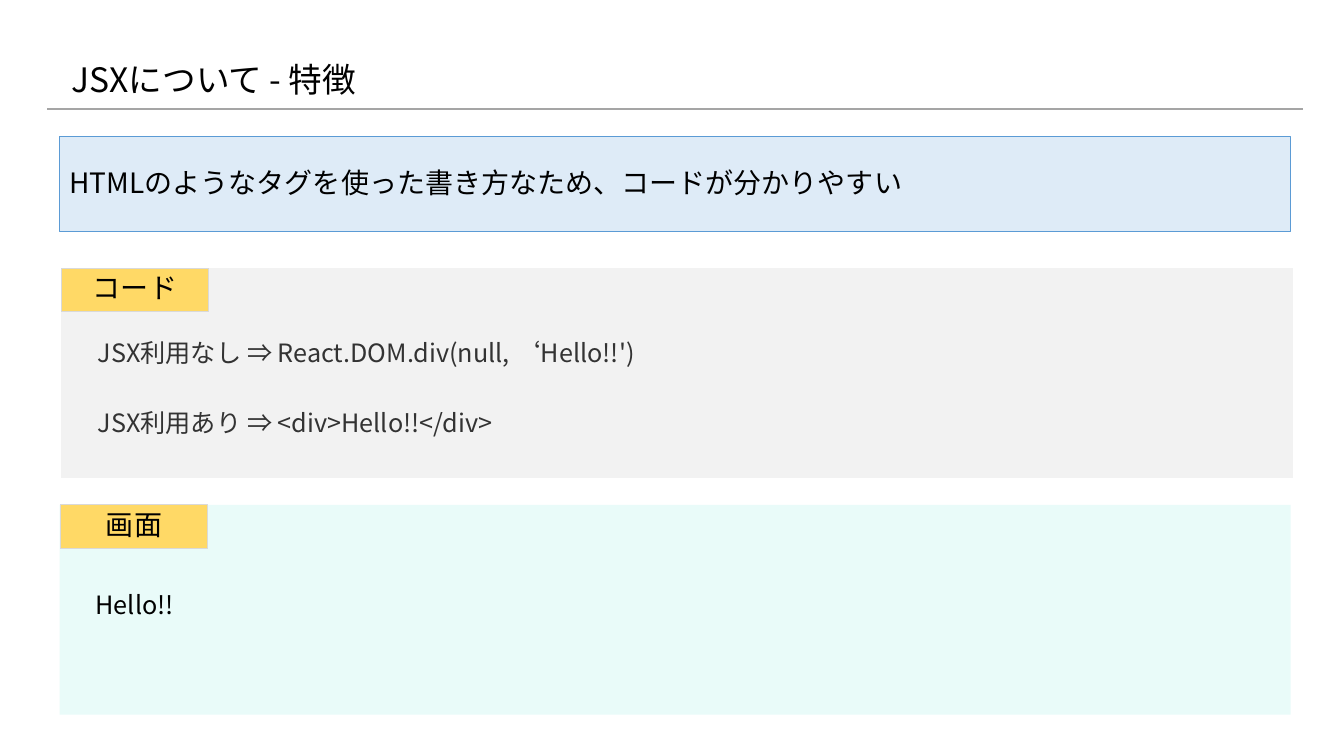
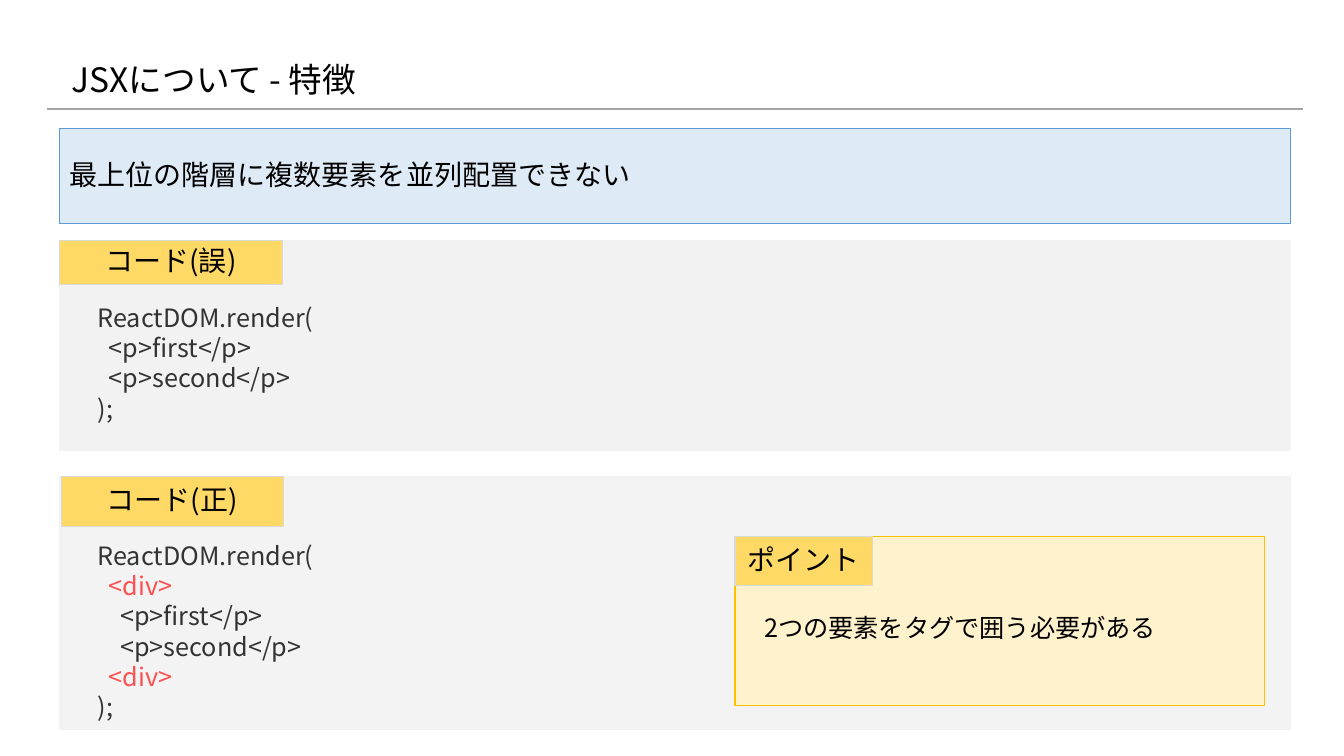
from lxml.etree import SubElement
from pptx import Presentation
from pptx.dml.color import RGBColor
from pptx.enum.shapes import MSO_CONNECTOR as Connector, MSO_SHAPE as Shape
from pptx.enum.text import MSO_ANCHOR as Anchor, MSO_AUTO_SIZE as AutoSize, PP_ALIGN as Align
from pptx.oxml.ns import qn
from pptx.util import Inches, Pt

FONT = "Noto Sans CJK JP"
BLACK = RGBColor(0x00, 0x00, 0x00)
CODE = RGBColor(0x33, 0x33, 0x33)
RED = RGBColor(0xFF, 0x50, 0x50)
RULE = RGBColor(0xA5, 0xA5, 0xA5)
PALE_BLUE = RGBColor(0xDE, 0xEB, 0xF7)
BLUE = RGBColor(0x5B, 0x9B, 0xD5)
PALE_GRAY = RGBColor(0xF2, 0xF2, 0xF2)
LIGHT_GRAY = RGBColor(0xF3, 0xF3, 0xF3)
BORDER = RGBColor(0xD9, 0xD9, 0xD9)
MINT = RGBColor(0xE9, 0xFB, 0xF9)
YELLOW = RGBColor(0xFF, 0xD9, 0x66)
CREAM = RGBColor(0xFF, 0xF2, 0xCC)
GOLD = RGBColor(0xFF, 0xC0, 0x00)

LEFT, WIDTH = 0.59, 12.21
CODE_LEFT = 0.87
TITLE = "JSXについて - 特徴"


def write(paragraph, text, size=18, color=BLACK, align=Align.LEFT, spacing=0.9):
    paragraph.alignment = align
    paragraph.line_spacing = spacing
    run = paragraph.add_run()
    run.text = text
    run.font.name = FONT
    run.font.size = Pt(size)
    run.font.color.rgb = color
    SubElement(run.font._element, qn("a:ea"), typeface=FONT)


class Deck:
    def __init__(self):
        self.presentation = Presentation()
        self.presentation.slide_width = Inches(13.33)
        self.presentation.slide_height = Inches(7.5)
        self.slide = None

    def add_slide(self, title):
        self.slide = self.presentation.slides.add_slide(self.presentation.slide_layouts[5])
        self.add_rule()
        shape = self.slide.shapes.title
        shape.left, shape.top = Inches(0.61), Inches(0.31)
        shape.width, shape.height = Inches(10.7), Inches(1)
        shape.text_frame.vertical_anchor = Anchor.MIDDLE
        write(shape.text_frame.paragraphs[0], title, size=24)

    def add_rule(self):
        line = self.slide.shapes.add_connector(
            Connector.STRAIGHT, Inches(0.47), Inches(1.08), Inches(12.92), Inches(1.08))
        line.line.color.rgb = RULE
        line.line.width = Pt(1.5)
        SubElement(line._element.spPr, qn("a:effectLst"))

    def add_box(self, left, top, width, height, fill, line=None, line_width=0.75,
                text=None, align=Align.LEFT):
        shape = self.slide.shapes.add_shape(
            Shape.RECTANGLE, Inches(left), Inches(top), Inches(width), Inches(height))
        shape.shadow.inherit = False
        shape.fill.solid()
        shape.fill.fore_color.rgb = fill
        if line is None:
            shape.line.fill.background()
        else:
            shape.line.color.rgb = line
            shape.line.width = Pt(line_width)
        if text:
            shape.text_frame.vertical_anchor = Anchor.MIDDLE
            write(shape.text_frame.paragraphs[0], text, size=20, align=align)

    def add_banner(self, top, text):
        self.add_box(LEFT, top, WIDTH, 0.95, PALE_BLUE, BLUE, text=text)

    def add_panel(self, label, top, height, fill, line=PALE_GRAY, left=LEFT, width=WIDTH,
                  line_width=0.75, label_left=None, label_width=1.46, label_height=0.43):
        self.add_box(left, top, width, height, fill, line, line_width)
        self.add_box(label_left or left, top, label_width, label_height, YELLOW, BORDER,
                     text=label, align=Align.CENTER)

    def add_lines(self, left, top, width, lines, color=CODE, highlight=None):
        height = 0.1 + 0.3 * len(lines)
        box = self.slide.shapes.add_textbox(
            Inches(left), Inches(top), Inches(width), Inches(height))
        frame = box.text_frame
        frame.word_wrap = True
        frame.auto_size = AutoSize.SHAPE_TO_FIT_TEXT
        for index, text in enumerate(lines):
            paragraph = frame.add_paragraph() if index else frame.paragraphs[0]
            line_color = RED if text.strip() == highlight else color
            write(paragraph, text, color=line_color, spacing=Pt(21.6))


def build_readable_code(deck):
    deck.add_slide(TITLE)
    deck.add_banner(1.35, "HTMLのようなタグを使った書き方なため、コードが分かりやすい")
    deck.add_panel("コード", 2.66, 2.08, PALE_GRAY, left=0.61)
    deck.add_panel("画面", 5.01, 2.08, MINT, line=None, label_left=0.6)
    deck.add_lines(0.85, 5.8, 6.86, ["Hello!!"], color=BLACK)
    deck.add_lines(CODE_LEFT, 3.3, 6.86, ["JSX利用なし ⇒ React.DOM.div(null, ‘Hello!!')"])
    deck.add_lines(CODE_LEFT, 3.99, 6.16, ["JSX利用あり ⇒ <div>Hello!!</div>"])


def build_single_root(deck):
    deck.add_slide(TITLE)
    deck.add_banner(1.27, "最上位の階層に複数要素を並列配置できない")
    deck.add_panel("コード(誤)", 2.39, 2.08, PALE_GRAY, label_width=2.21)
    deck.add_lines(CODE_LEFT, 2.95, 6.86, [
        "ReactDOM.render(", "  <p>first</p>", "  <p>second</p>", ");"])
    deck.add_panel("コード(正)", 4.73, 2.51, LIGHT_GRAY,
                   label_left=0.61, label_width=2.2, label_height=0.49)
    deck.add_lines(CODE_LEFT, 5.31, 6.86, [
        "ReactDOM.render(", "  <div>", "    <p>first</p>", "    <p>second</p>",
        "  <div>", ");"], highlight="<div>")
    deck.add_panel("ポイント", 5.32, 1.68, CREAM, GOLD, left=7.29, width=5.25,
                   line_width=1, label_width=1.36, label_height=0.49)
    deck.add_lines(7.48, 6.03, 4.68, ["2つの要素をタグで囲う必要がある"], color=BLACK)


def main():
    deck = Deck()
    build_readable_code(deck)
    build_single_root(deck)
    deck.presentation.save("out.pptx")


if __name__ == "__main__":
    main()
